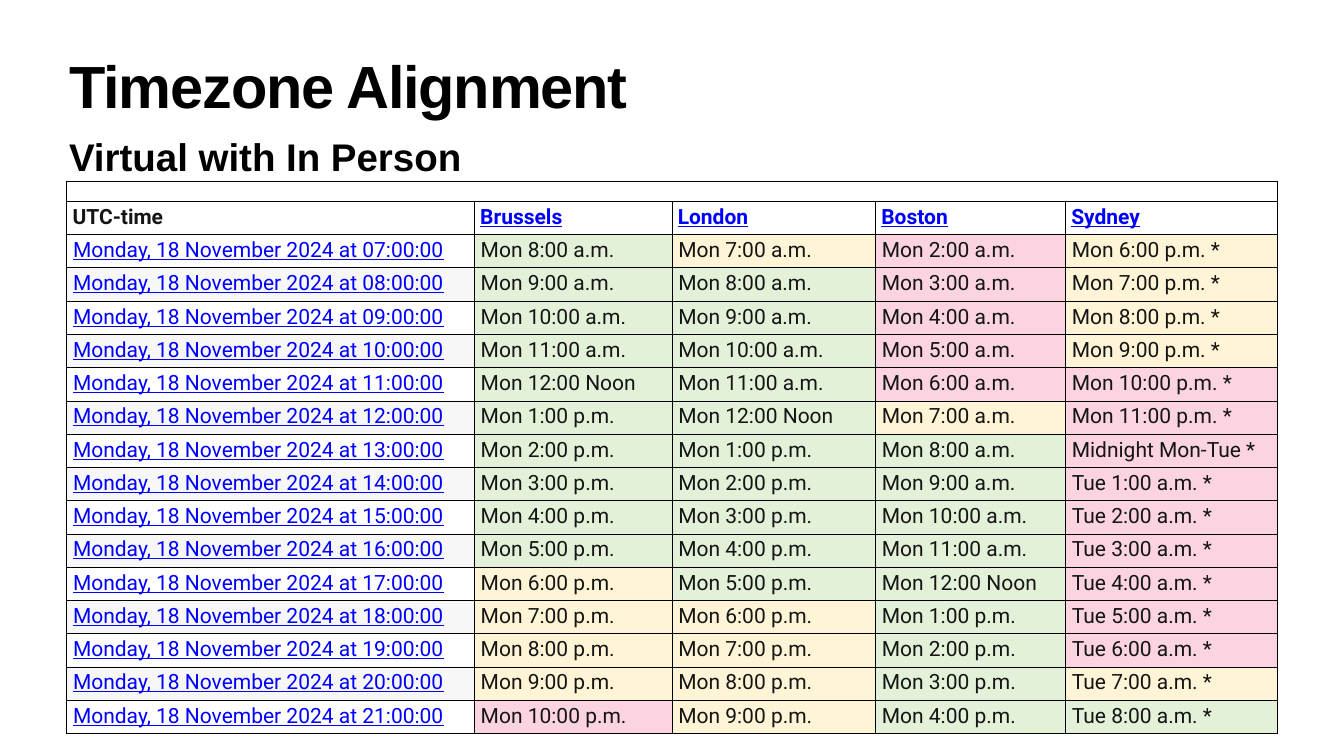
from dataclasses import dataclass

from lxml import etree
from pptx import Presentation
from pptx.dml.color import RGBColor
from pptx.enum.text import MSO_ANCHOR
from pptx.oxml.ns import qn
from pptx.util import Inches, Pt

TOP = MSO_ANCHOR.TOP
MIDDLE = MSO_ANCHOR.MIDDLE


@dataclass(frozen=True)
class Theme:
    heading_font: str = "Arial"
    table_font: str = "Roboto"
    title_size: float = 85
    subtitle_size: float = 55
    cell_size: float = 30
    spacer_size: float = 10
    black: str = "000000"
    white: str = "FFFFFF"
    ink: str = "151515"
    link: str = "0000FF"
    work: str = "E4F1D9"
    edge: str = "FFF4D6"
    night: str = "FBD3E1"
    thin: float = 0.35
    medium: float = 0.75
    thick: float = 1


THEME = Theme()
CITIES = {"Brussels": 1, "London": 0, "Boston": -5, "Sydney": 11}
UTC_HOURS = range(7, 22)
COLUMN_WIDTHS = (8.09, 3.92, 4.04, 3.77, 4.21)
SPACER_HEIGHT, HEADER_HEIGHT, HOUR_HEIGHT = 0.39, 0.66, 0.66
LEFT, WIDTH = 1.32, 24.03


def style_run(p, font, size, color, bold=False, underline=False):
    r = p.runs[0]
    r.font.name = font
    r.font.size = Pt(size)
    r.font.bold = bold
    r.font.underline = underline
    r.font.color.rgb = RGBColor.from_string(color)
    return r


def set_margins(box, x, y):
    box.margin_left = box.margin_right = Inches(x)
    box.margin_top = box.margin_bottom = Inches(y)


def add_heading(slide, text, top, height, size, inset, line_spacing=1.0, tracking=0):
    sp = slide.shapes.add_textbox(Inches(LEFT), Inches(top), Inches(WIDTH), Inches(height))
    tf = sp.text_frame
    tf.word_wrap = True
    tf.vertical_anchor = TOP
    set_margins(tf, inset, inset)
    p = tf.paragraphs[0]
    p.text = text
    p.line_spacing = line_spacing
    r = style_run(p, THEME.heading_font, size, THEME.black, bold=True)
    if tracking:
        r.font._element.set("spc", str(round(tracking * 100)))


def set_borders(cell, left, right, top, bottom):
    tc_pr = cell._tc.get_or_add_tcPr()
    for side, width in zip("LRTB", (left, right, top, bottom)):
        ln = etree.SubElement(tc_pr, qn(f"a:ln{side}"), w=str(Pt(width)))
        fill = etree.SubElement(ln, qn("a:solidFill"))
        etree.SubElement(fill, qn("a:srgbClr"), val=THEME.black)


def set_fill(cell, color, alpha=None):
    cell.fill.solid()
    cell.fill.fore_color.rgb = RGBColor.from_string(color)
    if alpha is not None:
        clr = cell._tc.tcPr.find(qn("a:solidFill")).find(qn("a:srgbClr"))
        etree.SubElement(clr, qn("a:alpha"), val=str(alpha * 1000))


def write_cell(cell, text, color, bold=False, underline=False, inset=0.13):
    set_margins(cell, inset, 0.07)
    cell.vertical_anchor = MIDDLE
    p = cell.text_frame.paragraphs[0]
    p.text = text
    p.line_spacing = 0.9
    style_run(p, THEME.table_font, THEME.cell_size, color, bold, underline)


def local_time(utc_hour, city):
    total = utc_hour + CITIES[city]
    day = ("Mon", "Tue")[total // 24]
    hour = total % 24
    if hour == 0:
        text = "Midnight Mon-Tue"
    elif hour == 12:
        text = f"{day} 12:00 Noon"
    else:
        text = f"{day} {hour % 12}:00 {'a.m.' if hour < 12 else 'p.m.'}"
    return text + (" *" if city == "Sydney" else "")


def hour_color(hour):
    if 8 <= hour <= 17:
        return THEME.work
    if hour == 7 or 18 <= hour <= 21:
        return THEME.edge
    return THEME.night


def fill_spacer(table):
    cells = list(table.rows[0].cells)
    for cell in cells:
        set_margins(cell, 0.05, 0.05)
        set_borders(cell, THEME.thick, THEME.thick, THEME.thick, THEME.thin)
        cell.fill.background()
        p = cell.text_frame.paragraphs[0]
        etree.SubElement(p._p, qn("a:endParaRPr"), sz=str(THEME.spacer_size * 100))
    cells[0].merge(cells[-1])


def fill_header(table):
    for i, label in enumerate(["UTC-time", *CITIES]):
        cell = table.cell(1, i)
        color = THEME.link if i else THEME.ink
        write_cell(cell, label, color, True, i > 0, 0.12)
        set_borders(cell, THEME.thin, THEME.thin, THEME.thin, THEME.medium)
        cell.fill.background()


def fill_hour(table, index, utc_hour):
    row = index + 2
    top = THEME.thin if index else THEME.medium
    cell = table.cell(row, 0)
    write_cell(cell, f"Monday, 18 November 2024 at {utc_hour:02}:00:00", THEME.link, underline=True)
    set_borders(cell, THEME.thin, THEME.medium, top, THEME.thin)
    if index % 2:
        set_fill(cell, THEME.black, alpha=3)
    else:
        set_fill(cell, THEME.white)
    for col, city in enumerate(CITIES, 1):
        cell = table.cell(row, col)
        write_cell(cell, local_time(utc_hour, city), THEME.ink)
        left = THEME.medium if col == 1 else THEME.thin
        set_borders(cell, left, THEME.thin, top, THEME.thin)
        set_fill(cell, hour_color((utc_hour + CITIES[city]) % 24))


def add_timezone_table(slide):
    heights = [SPACER_HEIGHT, HEADER_HEIGHT] + [HOUR_HEIGHT] * len(UTC_HOURS)
    table = slide.shapes.add_table(
        len(heights), len(COLUMN_WIDTHS),
        Inches(LEFT), Inches(3.6), Inches(WIDTH), Inches(sum(heights)),
    ).table
    table.first_row = table.horz_banding = False
    for column, width in zip(table.columns, COLUMN_WIDTHS):
        column.width = Inches(width)
    for row, height in zip(table.rows, heights):
        row.height = Inches(height)
    fill_spacer(table)
    fill_header(table)
    for index, utc_hour in enumerate(UTC_HOURS):
        fill_hour(table, index, utc_hour)


def main():
    prs = Presentation()
    prs.slide_width = Inches(26.67)
    prs.slide_height = Inches(15)
    slide = prs.slides.add_slide(prs.slide_layouts[6])
    add_heading(slide, "Timezone Alignment", 1.18, 1.57, THEME.title_size, 0.06, 0.8, -1.7)
    add_heading(slide, "Virtual with In Person", 2.58, 1.02, THEME.subtitle_size, 0.05)
    add_timezone_table(slide)
    prs.save("out.pptx")


if __name__ == "__main__":
    main()
